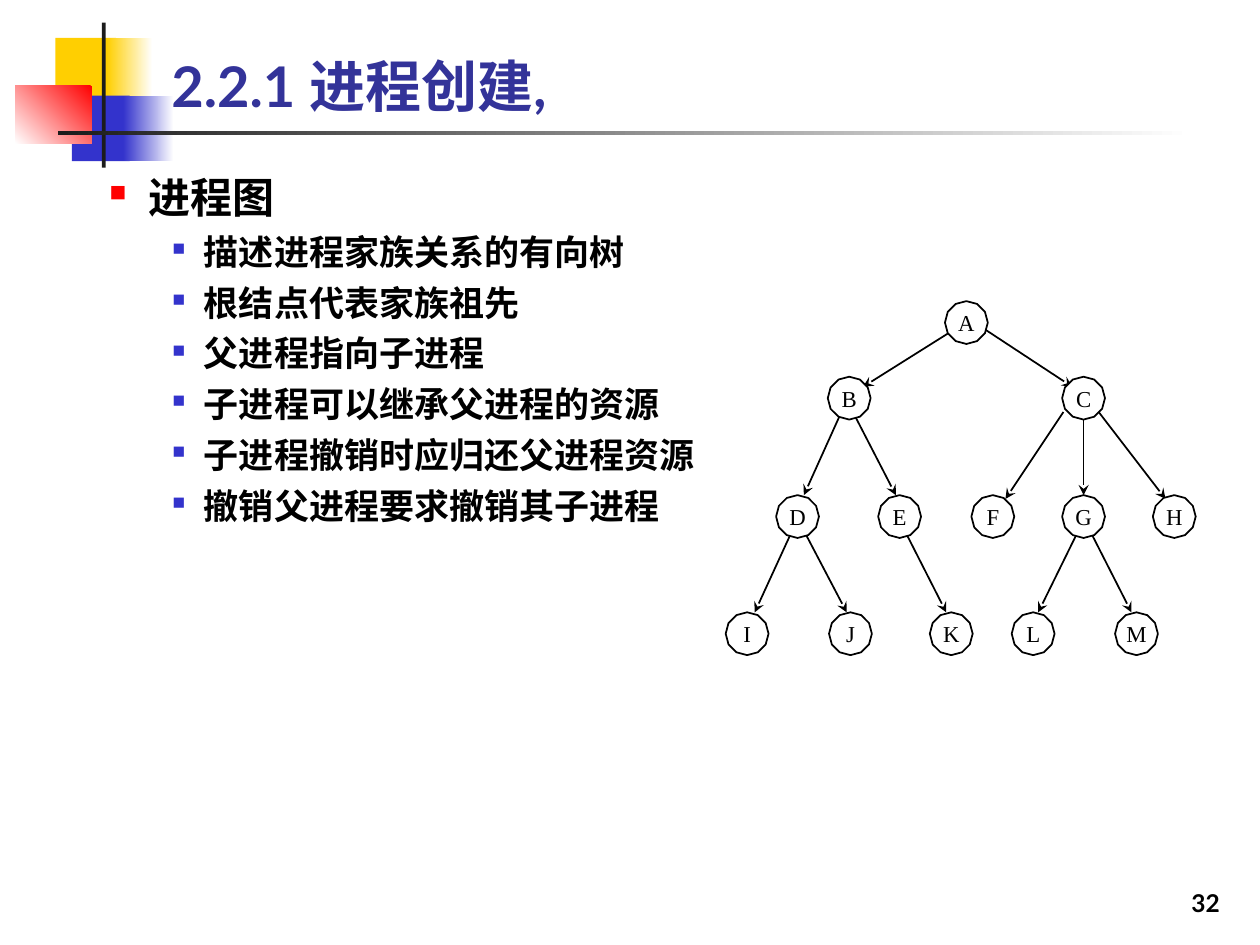
import math

import pptx
import pptx.dml.color
import pptx.enum.shapes
import pptx.enum.text
import pptx.oxml
import pptx.oxml.ns
import pptx.util
from pptx.util import Inches

THEME = {
    "text_font": "Lato", "node_font": "Times New Roman",
    "yellow": "FFCF01", "blue": "3333CC", "red": "FF0000", "dark": "1C1C1C",
    "white": "FFFFFF", "black": "000000", "title": "333399",
    "title_size": 32, "topic_size": 24, "point_size": 20,
    "node_size": 13, "number_size": 14, "line_width": 1,
}


def rgb(name):
    return pptx.dml.color.RGBColor.from_string(THEME[name])


def style(para, font, size, color, bold=True):
    for span in para.runs:
        span.font.name = THEME[font]
        span.font.size = pptx.util.Pt(THEME[size])
        span.font.bold = bold
        span.font.color.rgb = rgb(color)
        east_asian = pptx.oxml.parse_xml(
            f'<a:ea {pptx.oxml.ns.nsdecls("a")} typeface="{THEME[font]}"/>')
        span.font.fill
        span.font._element.append(east_asian)


deck = pptx.Presentation()
deck.slide_width, deck.slide_height = Inches(10), Inches(7.5)
slide = deck.slides.add_slide(deck.slide_layouts[5])
shapes = slide.shapes

ornaments = [
    (0.44, 0.3, 0.48, 0.52, ["yellow"], 0),
    (0.85, 0.3, 0.36, 0.52, ["white", "yellow"], 180),
    (0.57, 0.76, 0.46, 0.52, ["blue"], 0),
    (0.98, 0.76, 0.4, 0.52, ["white", "blue"], 180),
    (0.12, 0.68, 0.61, 0.46, ["red", "white"], 225),
    (0.81, 0.18, 0.03, 1.15, ["dark"], 0),
    (0.46, 1.04, 9, 0.03, ["white", "dark"], 180),
]
for left, top, width, height, colors, angle in ornaments:
    ornament = shapes.add_shape(
        pptx.enum.shapes.MSO_SHAPE.RECTANGLE,
        Inches(left), Inches(top), Inches(width), Inches(height))
    ornament.shadow.inherit = False
    ornament.line.fill.background()
    if len(colors) == 1:
        ornament.fill.solid()
        ornament.fill.fore_color.rgb = rgb(colors[0])
    else:
        ornament.fill.gradient()
        ornament.fill.gradient_angle = angle
        for stop, color in zip(ornament.fill.gradient_stops, colors):
            stop.color.rgb = rgb(color)

title = shapes.title
shapes.element.append(title.element)
title.left, title.top = Inches(1.26), Inches(0.23)
title.width, title.height = Inches(8.52), Inches(0.76)
title.text_frame.text = "2.2.1 进程创建,"
title.text_frame.vertical_anchor = pptx.enum.text.MSO_ANCHOR.BOTTOM
title_para = title.text_frame.paragraphs[0]
title_para.alignment = pptx.enum.text.PP_ALIGN.LEFT
style(title_para, "text_font", "title_size", "title")

body = shapes.add_textbox(Inches(0.27), Inches(1.31), Inches(5.99), Inches(5.35))
body.text_frame.word_wrap = True
body.text_frame.text = "\n".join([
    "进程图",
    "描述进程家族关系的有向树",
    "根结点代表家族祖先",
    "父进程指向子进程",
    "子进程可以继承父进程的资源",
    "子进程撤销时应归还父进程资源",
    "撤销父进程要求撤销其子进程",
])
for index, para in enumerate(body.text_frame.paragraphs):
    if index == 0:
        level, margin, indent, color, percent, size = 1, 0.81, -0.31, "red", 55, "topic_size"
    else:
        level, margin, indent, color, percent, size = 2, 1.25, -0.25, "blue", 50, "point_size"
        para.space_before = pptx.util.Pt(5)
    para.level = level
    properties = para._p.get_or_add_pPr()
    properties.set("marL", str(Inches(margin)))
    properties.set("indent", str(Inches(indent)))
    for bullet in (
        f'<a:buClr {{}}><a:srgbClr val="{THEME[color]}"/></a:buClr>',
        f'<a:buSzPct {{}} val="{percent * 1000}"/>',
        '<a:buChar {} char="■"/>',
    ):
        properties.append(pptx.oxml.parse_xml(bullet.format(pptx.oxml.ns.nsdecls("a"))))
    style(para, "text_font", size, "black")

edges = [
    (7.78, 2.59, 8.51, 3.07), (7.55, 2.63, 6.85, 3.07),
    (6.79, 3.31, 7.11, 3.93), (6.66, 3.31, 6.38, 3.93),
    (8.6, 3.32, 8.6, 3.93), (8.72, 3.27, 9.25, 3.96), (8.44, 3.27, 7.98, 3.96),
    (6.4, 4.25, 6.72, 4.86), (6.27, 4.25, 5.99, 4.86), (7.2, 4.25, 7.51, 4.86),
    (8.54, 4.25, 8.24, 4.86), (8.67, 4.25, 8.98, 4.86),
]
for edge in edges:
    arrow = shapes.add_connector(
        pptx.enum.shapes.MSO_CONNECTOR.STRAIGHT, *[Inches(value) for value in edge])
    arrow.line.color.rgb = rgb("black")
    arrow.line.width = pptx.util.Pt(THEME["line_width"])
    arrow.line._get_or_add_ln().append(pptx.oxml.parse_xml(
        f'<a:tailEnd {pptx.oxml.ns.nsdecls("a")} type="stealth"/>'))
    arrow._element.spPr.append(pptx.oxml.parse_xml(
        f'<a:effectLst {pptx.oxml.ns.nsdecls("a")}/>'))

tree_rows = [
    (2.56, {"A": 7.67}),
    (3.16, {"B": 6.74, "C": 8.6}),
    (4.1, {"D": 6.33, "E": 7.14, "F": 7.88, "G": 8.6, "H": 9.32}),
    (5.03, {"I": 5.93, "J": 6.75, "K": 7.55, "L": 8.2, "M": 9.02}),
]
radius, sides = 0.17, 12
for center_y, row in tree_rows:
    for label, center_x in row.items():
        corners = [
            (Inches(center_x + radius * math.cos(2 * math.pi * side / sides)),
             Inches(center_y + radius * math.sin(2 * math.pi * side / sides)))
            for side in range(sides)
        ]
        builder = shapes.build_freeform(*corners[0])
        builder.add_line_segments(corners[1:], close=True)
        node = builder.convert_to_shape()
        node.shadow.inherit = False
        node.fill.solid()
        node.fill.fore_color.rgb = rgb("white")
        node.line.color.rgb = rgb("black")
        node.line.width = pptx.util.Pt(THEME["line_width"])
        frame = node.text_frame
        frame.margin_left = frame.margin_right = frame.margin_top = frame.margin_bottom = 0
        frame.word_wrap = False
        frame.vertical_anchor = pptx.enum.text.MSO_ANCHOR.MIDDLE
        frame.text = label
        frame.paragraphs[0].alignment = pptx.enum.text.PP_ALIGN.CENTER
        style(frame.paragraphs[0], "node_font", "node_size", "black", False)

number = shapes.add_textbox(Inches(7.7), Inches(6.83), Inches(2.08), Inches(0.5))
number.text_frame.word_wrap = True
number.text_frame.vertical_anchor = pptx.enum.text.MSO_ANCHOR.BOTTOM
number.text_frame.text = "32"
number.text_frame.paragraphs[0].alignment = pptx.enum.text.PP_ALIGN.RIGHT
style(number.text_frame.paragraphs[0], "text_font", "number_size", "black")

deck.save("out.pptx")
